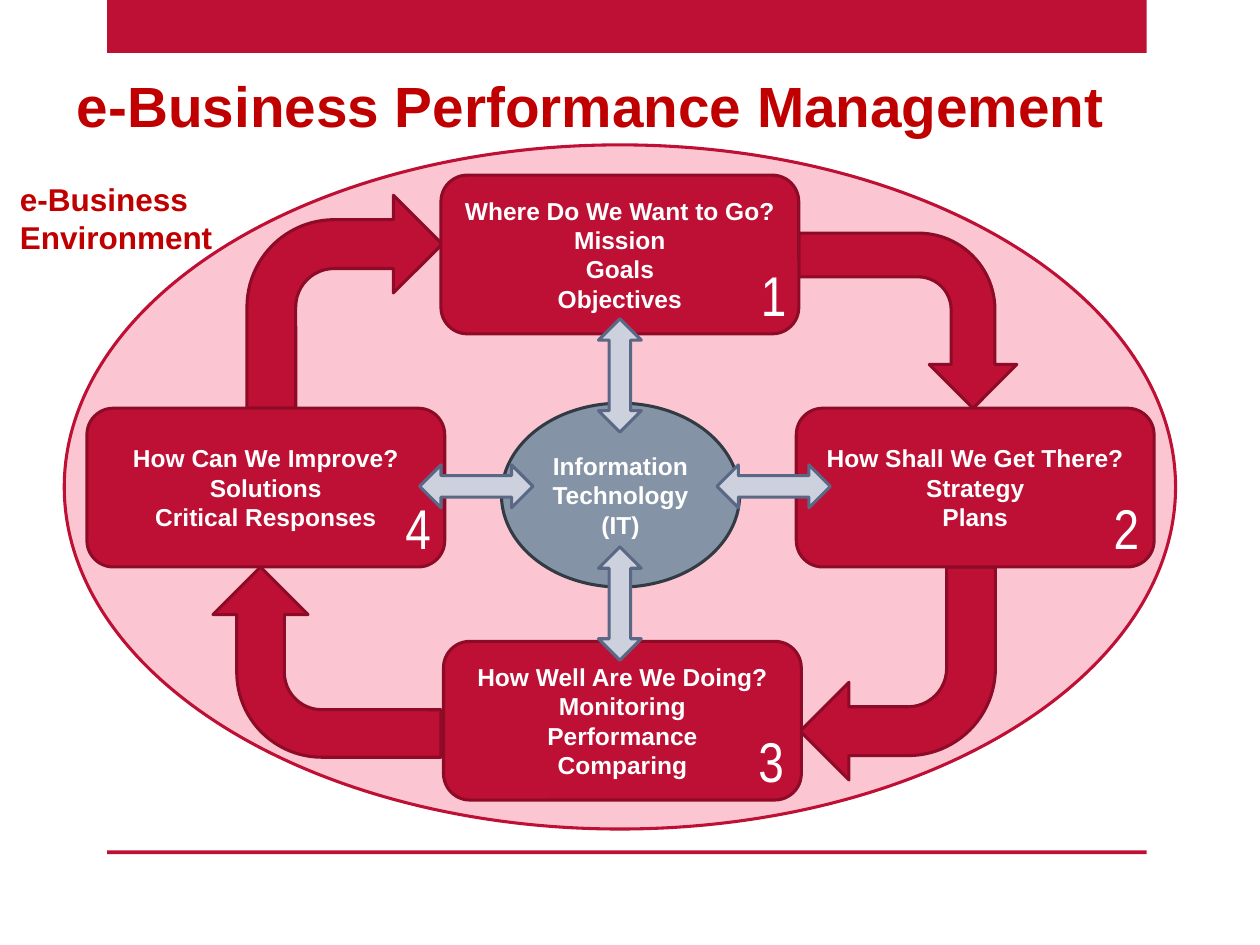
from dataclasses import dataclass

import pptx
import pptx.dml.color
import pptx.enum.shapes
import pptx.enum.text
import pptx.util

Inches = pptx.util.Inches
Pt = pptx.util.Pt
RGBColor = pptx.dml.color.RGBColor
Shape = pptx.enum.shapes.MSO_SHAPE
Anchor = pptx.enum.text.MSO_ANCHOR
Align = pptx.enum.text.PP_ALIGN

CRIMSON = RGBColor(0xBE, 0x0F, 0x34)
DARK_CRIMSON = RGBColor(0x8D, 0x0B, 0x26)
PINK = RGBColor(0xFB, 0xC6, 0xD1)
HEADING_RED = RGBColor(0xC0, 0x00, 0x00)
SLATE = RGBColor(0x84, 0x94, 0xA6)
DARK_SLATE = RGBColor(0x32, 0x3B, 0x44)
PALE_BLUE = RGBColor(0xCC, 0xD1, 0xDD)
STEEL_BLUE = RGBColor(0x5A, 0x68, 0x85)
WHITE = RGBColor(0xFF, 0xFF, 0xFF)

STAGE_WIDTH, STAGE_HEIGHT = 2.84, 1.26
LINK_WIDTH, LINK_LENGTH = 0.34, 0.9


@dataclass
class Box:
    left: float
    top: float
    width: float
    height: float

    def lengths(self):
        return [Inches(v) for v in (self.left, self.top, self.width, self.height)]


@dataclass
class Stage:
    left: float
    top: float
    number: str
    number_left: float
    lines: list[str]


@dataclass
class Turn:
    box: Box
    rotation: int
    bend: float = 0.447


@dataclass
class Link:
    left: float
    top: float
    rotation: int = 0


STAGES = [
    Stage(3.5, 1.39, "1", 5.94,
          ["Where Do We Want to Go?", "Mission", "Goals", "Objectives"]),
    Stage(6.32, 3.24, "2", 8.74,
          ["How Shall We Get There?", "Strategy", "Plans"]),
    Stage(3.52, 5.09, "3", 5.92,
          ["How Well Are We Doing?", "Monitoring", "Performance", "Comparing"]),
    Stage(0.69, 3.24, "4", 3.12,
          ["How Can We Improve?", "Solutions", "Critical Responses"]),
]
TURNS = [
    Turn(Box(6.51, 1.68, 1.39, 1.73), 90, 0.4375),
    Turn(Box(6.35, 4.5, 1.55, 1.69), 180),
    Turn(Box(1.84, 4.35, 1.51, 1.81), 270),
    Turn(Box(1.96, 1.55, 1.55, 1.69), 0),
]
LINKS = [Link(4.75, 2.53), Link(4.75, 4.34), Link(5.97, 3.41, 90), Link(3.61, 3.41, 90)]


def add_figure(slide, kind: Shape, box: Box, fill: RGBColor, outline: RGBColor | None = None):
    figure = slide.shapes.add_shape(kind, *box.lengths())
    figure.shadow.inherit = False
    figure.fill.solid()
    figure.fill.fore_color.rgb = fill
    if outline is None:
        figure.line.fill.background()
    else:
        figure.line.color.rgb = outline
        figure.line.width = Pt(1.75)
    return figure


def write(frame, lines: list[str], size: float, color: RGBColor, align: Align = Align.LEFT,
          font: str = "Arial", bold: bool = True) -> None:
    frame.text = "\n".join(lines)
    for paragraph in frame.paragraphs:
        paragraph.alignment = align
        paragraph.font.name = font
        paragraph.font.size = Pt(size)
        paragraph.font.bold = bold
        paragraph.font.color.rgb = color


def add_label(slide, box: Box, lines: list[str], size: float, color: RGBColor, **style) -> None:
    label = slide.shapes.add_textbox(*box.lengths())
    label.text_frame.word_wrap = False
    write(label.text_frame, lines, size, color, **style)


def add_stage(slide, stage: Stage) -> None:
    box = Box(stage.left, stage.top, STAGE_WIDTH, STAGE_HEIGHT)
    card = add_figure(slide, Shape.ROUNDED_RECTANGLE, box, CRIMSON, DARK_CRIMSON)
    card.text_frame.vertical_anchor = Anchor.MIDDLE
    write(card.text_frame, stage.lines, 14, WHITE, Align.CENTER)
    number_box = Box(stage.number_left, stage.top + 0.63, 0.43, 0.64)
    add_label(slide, number_box, [stage.number], 32, WHITE, font="Arial Narrow", bold=False)


def add_turn(slide, turn: Turn) -> None:
    arrow = add_figure(slide, Shape.BENT_ARROW, turn.box, CRIMSON, DARK_CRIMSON)
    arrow.adjustments[3] = turn.bend
    arrow.rotation = turn.rotation


def add_link(slide, link: Link) -> None:
    box = Box(link.left, link.top, LINK_WIDTH, LINK_LENGTH)
    arrow = add_figure(slide, Shape.UP_DOWN_ARROW, box, PALE_BLUE, STEEL_BLUE)
    arrow.rotation = link.rotation


def main() -> None:
    deck = pptx.Presentation()
    deck.slide_width, deck.slide_height = Inches(10), Inches(7.5)
    slide = deck.slides.add_slide(deck.slide_layouts[5])

    # Title
    title = slide.shapes.title
    title.left, title.top, title.width, title.height = Box(0.51, 0.52, 9.49, 0.63).lengths()
    title.text_frame.vertical_anchor = Anchor.BOTTOM
    write(title.text_frame, ["e-Business Performance Management"], 32.4, HEADING_RED)

    # Top band and bottom rule
    for top, height in ((0, 0.42), (6.75, 0.03)):
        add_figure(slide, Shape.RECTANGLE, Box(0.85, top, 8.25, height), CRIMSON)

    # Environment
    add_figure(slide, Shape.OVAL, Box(0.51, 1.15, 8.82, 5.43), PINK, CRIMSON)
    add_label(slide, Box(0.06, 1.38, 1.74, 0.71), ["e-Business", "Environment"], 18, HEADING_RED)

    # Cycle of stages
    for turn in TURNS:
        add_turn(slide, turn)
    for stage in STAGES:
        add_stage(slide, stage)

    # Information technology hub and its links
    hub = add_figure(slide, Shape.OVAL, Box(3.98, 3.2, 1.89, 1.46), SLATE, DARK_SLATE)
    hub.text_frame.vertical_anchor = Anchor.MIDDLE
    write(hub.text_frame, ["Information", "Technology", "(IT)"], 14, WHITE, Align.CENTER)
    for link in LINKS:
        add_link(slide, link)

    deck.save("out.pptx")


if __name__ == "__main__":
    main()
